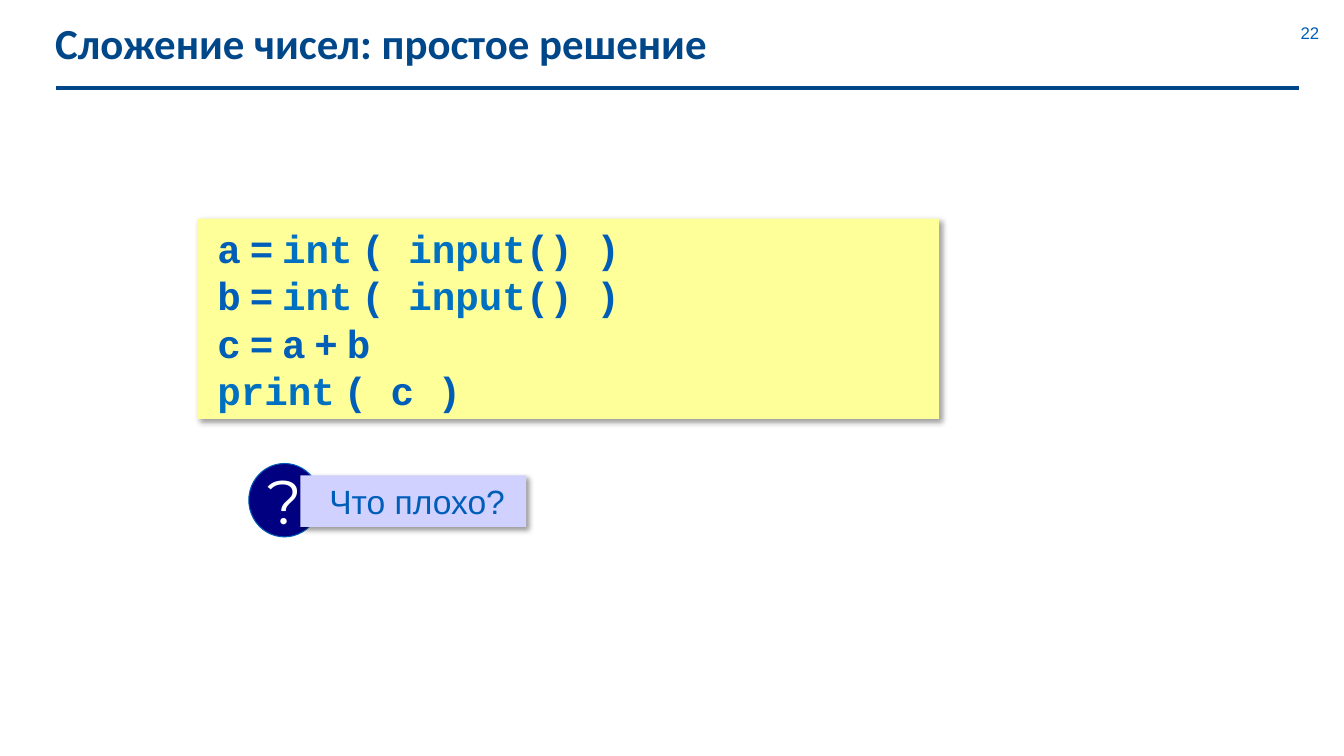
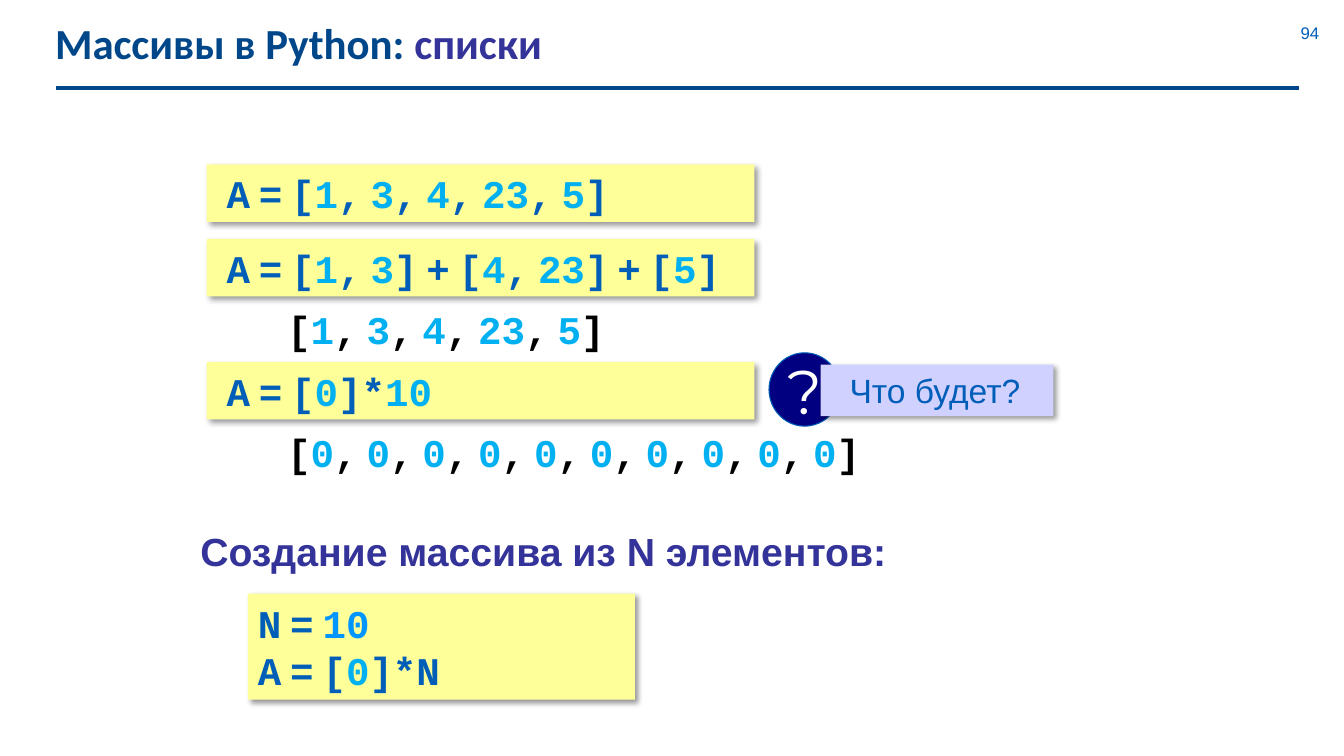
import itertools

import lxml.etree
import pptx
import pptx.dml.color
import pptx.enum.shapes
import pptx.enum.text
import pptx.oxml
import pptx.oxml.ns
import pptx.util

Cm = pptx.util.Cm
Pt = pptx.util.Pt
SHAPE = pptx.enum.shapes.MSO_SHAPE
ANCHOR = pptx.enum.text.MSO_ANCHOR
ALIGN = pptx.enum.text.PP_ALIGN


class Theme:
    navy = "00478A"
    blue = "005EB8"
    violet = "333399"
    builtin = "0070C0"
    number = "00B0F0"
    bright = "0095FF"
    black = "000000"
    white = "FFFFFF"
    code_fill = "FFFF99"
    note_fill = "D1D1FF"
    badge_fill = "000080"
    title_font = "Calibri"
    text_font = "Arial"
    code_font = "Courier New"
    badge_font = "Montserrat"
    title_size = 30.6
    page_size = 12
    code_size = 28
    note_size = 24
    badge_size = 44
    builtins = ("int", "input", "print")


def rgb(value):
    return pptx.dml.color.RGBColor.from_string(value)


def add_run(p, text, *, size, color, font=Theme.text_font, bold=False):
    r = p.add_run()
    r.text = text
    r.font.size = Pt(size)
    r.font.name = font
    r.font.bold = bold
    r.font.color.rgb = rgb(color)


def add_code(p, line, color, number):
    depth = 0
    for _, chars in itertools.groupby(line, lambda c: (c.isalnum(), c.isspace())):
        token = "".join(chars)
        narrow = token.isspace() and depth == 0
        depth += token.count("(") - token.count(")")
        tint = color
        if token.isdigit():
            tint = number
        elif token in Theme.builtins:
            tint = Theme.builtin
        add_run(p, token, size=Theme.code_size, color=tint, bold=True,
                font=Theme.title_font if narrow else Theme.code_font)


def set_effects(shape, shadow=False):
    ns = pptx.oxml.ns.nsdecls("a")
    effect = ""
    if shadow:
        effect = (
            f'<a:outerShdw blurRad="{Pt(4)}" dist="{Pt(3)}" dir="2700000" algn="tl" rotWithShape="0">'
            f'<a:srgbClr val="{Theme.black}"><a:alpha val="40000"/></a:srgbClr></a:outerShdw>'
        )
    xml = f"<a:effectLst {ns}>{effect}</a:effectLst>"
    shape._element.spPr.append(pptx.oxml.parse_xml(xml))


def set_indent(p, left, first=0):
    p_pr = p._p.get_or_add_pPr()
    p_pr.set("marL", str(Cm(left)))
    p_pr.set("indent", str(Cm(first)))


class Deck:
    def __init__(self):
        self.prs = pptx.Presentation()
        self.prs.slide_width = Cm(33.87)
        self.prs.slide_height = Cm(19.05)
        self.s = None

    def slide(self, number, *title):
        self.s = self.prs.slides.add_slide(self.prs.slide_layouts[6])
        rule = self.s.shapes.add_connector(
            pptx.enum.shapes.MSO_CONNECTOR.STRAIGHT, Cm(1.4), Cm(2.21), Cm(32.74), Cm(2.21))
        rule.line.color.rgb = rgb(Theme.navy)
        rule.line.width = Pt(3)
        set_effects(rule)
        tf = self.text(1.14, 0.43, 31.01, 1.32)
        tf.margin_top = 0
        for text, color in zip(title, (Theme.navy, Theme.violet)):
            add_run(tf.paragraphs[0], text, size=Theme.title_size, color=color,
                    font=Theme.title_font, bold=True)
        tf = self.text(32.16, 0.56, 1.7, 0.51)
        tf.margin_left = tf.margin_right = tf.margin_top = tf.margin_bottom = 0
        tf.vertical_anchor = ANCHOR.MIDDLE
        p = tf.paragraphs[0]
        p.alignment = ALIGN.CENTER
        add_run(p, str(number), size=Theme.page_size, color=Theme.blue)

    def text(self, x, y, w, h):
        tf = self.s.shapes.add_textbox(Cm(x), Cm(y), Cm(w), Cm(h)).text_frame
        tf.word_wrap = True
        return tf

    def panel(self, x, y, w, h, fill, shapes=None):
        shapes = shapes or self.s.shapes
        sp = shapes.add_shape(SHAPE.RECTANGLE, Cm(x), Cm(y), Cm(w), Cm(h))
        sp.fill.solid()
        sp.fill.fore_color.rgb = rgb(fill)
        sp.line.fill.background()
        set_effects(sp, shadow=True)
        tf = sp.text_frame
        tf.word_wrap = True
        tf.vertical_anchor = ANCHOR.MIDDLE
        return tf

    def code(self, x, y, w, h, *lines, hanging=True, numbers=()):
        tf = self.panel(x, y, w, h, Theme.code_fill)
        for i, (line, number) in enumerate(
                itertools.zip_longest(lines, numbers, fillvalue=Theme.number)):
            p = tf.add_paragraph() if i else tf.paragraphs[0]
            p.alignment = ALIGN.LEFT
            if hanging:
                set_indent(p, 0.5, -0.25)
            add_code(p, line, Theme.blue, number)

    def result(self, x, y, w, line):
        tf = self.text(x, y, w, 1.45)
        add_code(tf.paragraphs[0], line, Theme.black, Theme.number)

    def heading(self, x, y, w, text):
        tf = self.text(x, y, w, 1.45)
        add_run(tf.paragraphs[0], text, size=Theme.code_size, color=Theme.violet, bold=True)

    def question(self, x, y, w, text):
        shapes = self.s.shapes.add_group_shape().shapes
        p = self.panel(x + 1.3, y + 0.3, w, 1.3, Theme.note_fill, shapes).paragraphs[0]
        p.alignment = ALIGN.LEFT
        set_indent(p, 0.48)
        add_run(p, text, size=Theme.note_size, color=Theme.blue)
        sp = shapes.add_shape(SHAPE.OVAL, Cm(x), Cm(y), Cm(1.8), Cm(1.85))
        sp.shadow.inherit = False
        sp.fill.solid()
        sp.fill.fore_color.rgb = rgb(Theme.badge_fill)
        sp.line.color.rgb = rgb(Theme.blue)
        sp.line.width = Pt(0.75)
        tf = sp.text_frame
        tf.word_wrap = False
        tf.vertical_anchor = ANCHOR.MIDDLE
        p = tf.paragraphs[0]
        p.alignment = ALIGN.CENTER
        add_run(p, "?", size=Theme.badge_size, color=Theme.white, font=Theme.badge_font)


def addition_slide(deck):
    deck.slide(22, "Сложение чисел: простое решение")
    deck.code(4.98, 5.51, 18.69, 5.05,
              "a = int ( input() )", "b = int ( input() )", "c = a + b", "print ( c )")
    deck.question(6.27, 11.68, 5.69, "Что плохо?")


def lists_slide(deck):
    deck.slide(94, "Массивы в Python: ", "списки")
    zeros = "[" + ", ".join(["0"] * 10) + "]"
    rows = (
        (4.14, "A = [1, 3, 4, 23, 5]", None, 0),
        (6.02, "A = [1, 3] + [4, 23] + [5]", "[1, 3, 4, 23, 5]", 9.09),
        (9.12, "A = [0]*10", zeros, 16.03),
    )
    for y, line, value, width in rows:
        deck.code(5.21, y, 13.8, 1.45, line)
        if value:
            deck.result(6.99, y + 1.56, width, value)
    deck.question(19.38, 8.89, 5.87, "Что будет?")
    deck.heading(4.8, 13.16, 20.4, "Создание массива из N элементов:")
    deck.code(6.25, 14.96, 9.75, 2.67, "N = 10", "A = [0]*N",
              hanging=False, numbers=(Theme.bright,))


def main():
    deck = Deck()
    addition_slide(deck)
    lists_slide(deck)
    deck.prs.save("out.pptx")


if __name__ == "__main__":
    main()
